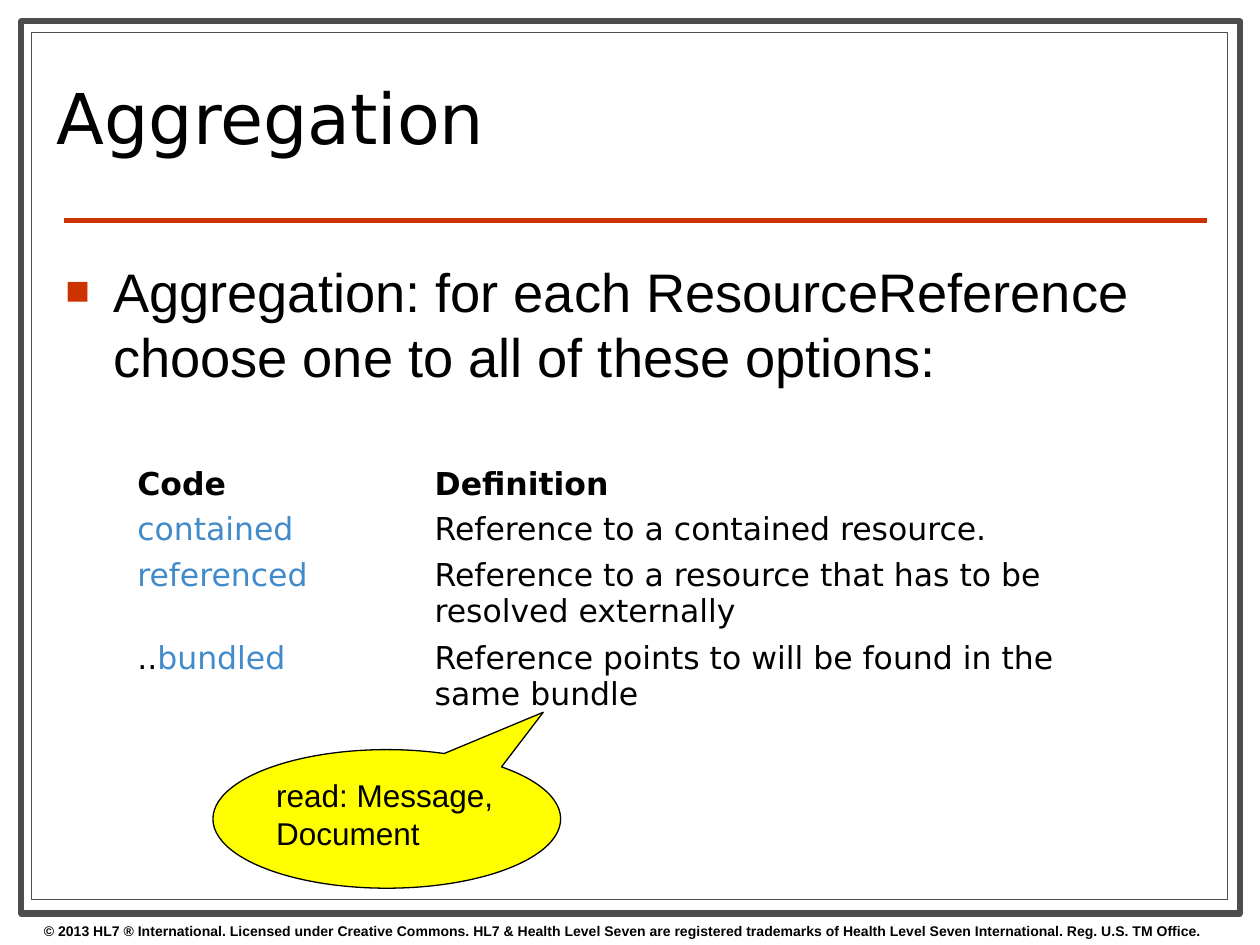
from dataclasses import dataclass

from lxml.etree import SubElement
from pptx import Presentation
from pptx.dml.color import RGBColor
from pptx.enum.shapes import MSO_CONNECTOR, MSO_SHAPE
from pptx.enum.text import MSO_ANCHOR, PP_ALIGN
from pptx.oxml.ns import qn
from pptx.util import Inches, Pt


@dataclass(frozen=True)
class Theme:
    white: str = "FFFFFF"
    text: str = "000000"
    frame: str = "4D4D4D"
    accent: str = "CC3300"
    code: str = "428BCA"
    callout: str = "FFFF00"
    sans: str = "Arial"
    display: str = "DejaVu Sans"
    title_size: int = 40
    body_size: int = 31
    detail_size: int = 18
    footer_size: int = 8


THEME = Theme()

DEFINITIONS = [
    ("contained", "Reference to a contained resource."),
    ("referenced", "Reference to a resource that has to be resolved externally"),
    ("bundled", "Reference points to will be found in the same bundle"),
]


def rgb(value):
    return RGBColor.from_string(value)


def style(font, size, name, color=THEME.text, bold=False):
    font.size, font.name, font.bold = Pt(size), name, bold
    font.color.rgb = rgb(color)


def add_text(slide, box, text):
    """Add a wrapping text box and return its frame and first paragraph."""
    frame = slide.shapes.add_textbox(*map(Inches, box)).text_frame
    frame.word_wrap = True
    frame.text = text
    return frame, frame.paragraphs[0]


def add_outlined_shape(slide, preset, box, fill, line, width):
    shape = slide.shapes.add_shape(preset, *map(Inches, box))
    shape.shadow.inherit = False
    shape.fill.solid()
    shape.fill.fore_color.rgb = rgb(fill)
    shape.line.color.rgb = rgb(line)
    shape.line.width = Pt(width)
    return shape


def add_page_frame(slide):
    for box, width in (((0.17, 0.17, 9.67, 7.08), 3.5),
                       ((0.25, 0.26, 9.49, 6.88), 0.75)):
        add_outlined_shape(slide, MSO_SHAPE.RECTANGLE, box, THEME.white, THEME.frame, width)


def add_title_rule(slide, left, right, y):
    rule = slide.shapes.add_connector(
        MSO_CONNECTOR.STRAIGHT, Inches(left), Inches(y), Inches(right), Inches(y))
    rule.line.color.rgb = rgb(THEME.accent)
    rule.line.width = Pt(3)
    SubElement(rule._element.spPr, qn("a:effectLst"))


def add_footer(slide, box):
    _, paragraph = add_text(
        slide, box,
        "© 2013 HL7 ® International. Licensed under Creative Commons. "
        "HL7 & Health Level Seven are registered trademarks of "
        "Health Level Seven International. Reg. U.S. TM Office.")
    style(paragraph.runs[0].font, THEME.footer_size, THEME.sans, bold=True)


def add_title(slide, box):
    frame, paragraph = add_text(slide, box, "Aggregation")
    frame.vertical_anchor = MSO_ANCHOR.MIDDLE
    paragraph.line_spacing = 0.8
    style(paragraph.runs[0].font, THEME.title_size, THEME.display)


def add_bullet(paragraph, indent):
    properties = paragraph._p.get_or_add_pPr()
    properties.set("marL", str(Inches(indent)))
    properties.set("indent", str(-Inches(indent)))
    color = SubElement(properties, qn("a:buClr"))
    SubElement(color, qn("a:srgbClr"), val=THEME.accent)
    SubElement(properties, qn("a:buSzPct"), val="75000")
    SubElement(properties, qn("a:buFont"), typeface=THEME.sans)
    SubElement(properties, qn("a:buChar"), char="■")


def add_body(slide, box):
    _, paragraph = add_text(
        slide, box,
        "Aggregation: for each ResourceReference choose one to all of these options:")
    add_bullet(paragraph, 0.38)
    style(paragraph.runs[0].font, THEME.body_size, THEME.sans)


def fill_cell(cell, runs, bold=False):
    """Write (text, colour) runs into a white cell."""
    cell.fill.solid()
    cell.fill.fore_color.rgb = rgb(THEME.white)
    cell.margin_left = cell.margin_right = Inches(0.03)
    cell.margin_top = cell.margin_bottom = Inches(0.03)
    paragraph = cell.text_frame.paragraphs[0]
    for text, color in runs:
        run = paragraph.add_run()
        run.text = text
        style(run.font, THEME.detail_size, THEME.display, color, bold)


def add_definition_table(slide, box):
    row_heights = (0.35, 0.35, 0.64, 0.64)
    column_widths = (2.36, 5.2)
    table = slide.shapes.add_table(
        len(row_heights), len(column_widths), *map(Inches, box)).table
    table.first_row = table.horz_banding = False
    for column, width in zip(table.columns, column_widths):
        column.width = Inches(width)
    for row, height in zip(table.rows, row_heights):
        row.height = Inches(height)
    for index, heading in enumerate(("Code", "Definition")):
        fill_cell(table.cell(0, index), [(heading, THEME.text)], bold=True)
    for row, (code, definition) in enumerate(DEFINITIONS, start=1):
        prefix = [("..", THEME.text)] if code == "bundled" else []
        fill_cell(table.cell(row, 0), prefix + [(code, THEME.code)])
        fill_cell(table.cell(row, 1), [(definition, THEME.text)])


def add_callout(slide, box):
    callout = add_outlined_shape(
        slide, MSO_SHAPE.OVAL_CALLOUT, box, THEME.callout, THEME.text, 0.75)
    callout.adjustments[0] = 0.45
    callout.adjustments[1] = -0.77
    frame = callout.text_frame
    frame.word_wrap = True
    frame.vertical_anchor = MSO_ANCHOR.TOP
    frame.text = "read: Message, Document"
    paragraph = frame.paragraphs[0]
    paragraph.alignment = PP_ALIGN.LEFT
    style(paragraph.runs[0].font, THEME.detail_size, THEME.sans)


def main():
    presentation = Presentation()
    presentation.slide_width, presentation.slide_height = Inches(10), Inches(7.5)
    slide = presentation.slides.add_slide(presentation.slide_layouts[6])
    add_page_frame(slide)
    add_title_rule(slide, 0.51, 9.58, 1.75)
    add_footer(slide, (0.25, 7.27, 10, 0.23))
    add_title(slide, (0.35, 0.36, 7.17, 1.26))
    add_body(slide, (0.42, 2, 9.17, 4.9))
    add_definition_table(slide, (1.06, 3.67, 7.56, 1.98))
    add_callout(slide, (1.69, 5.95, 2.76, 1.1))
    presentation.save("out.pptx")


if __name__ == "__main__":
    main()
